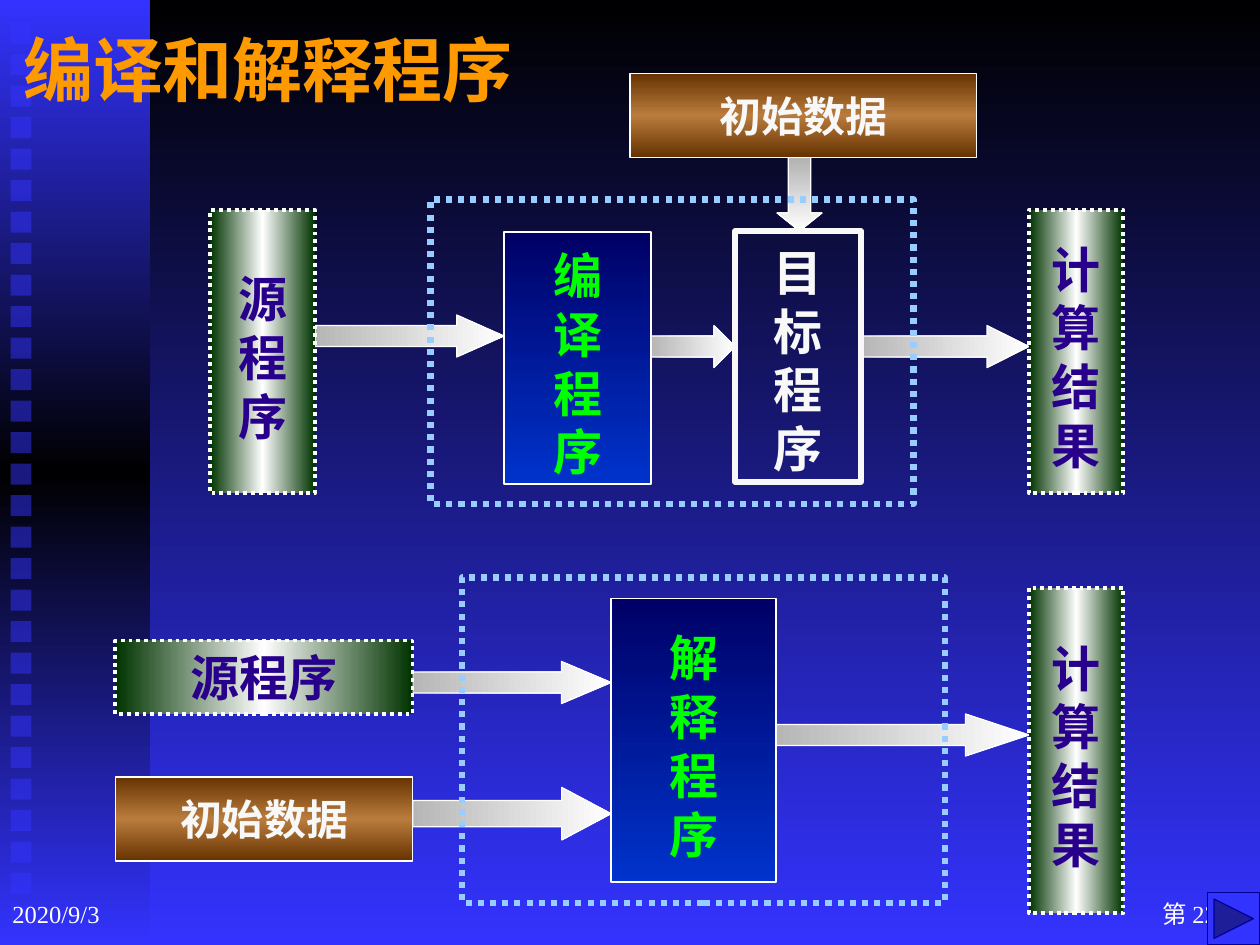
from pptx import Presentation
from pptx.dml.color import RGBColor as Color
from pptx.enum.dml import MSO_LINE as Dash
from pptx.enum.shapes import MSO_SHAPE as Shape
from pptx.enum.text import MSO_ANCHOR as Anchor, PP_ALIGN as Align
from pptx.oxml import parse_xml
from pptx.oxml.ns import nsdecls, qn
from pptx.util import Inches, Pt
from lxml.etree import SubElement

COLUMNS, ROWS = 120, 90
CELL = Inches(10) // COLUMNS
CJK, SERIF = "Noto Sans CJK SC", "Times New Roman"

# A gradient is an angle and its evenly spaced stops; a stop may carry a shade.
GREEN = (0, ["003300", "FFFFFF", "003300"])
BROWN = (90, ["663300", "BA7C3E", "663300"])
NAVY = (90, ["000066", "0033CC"])
THEME = {
    "background": (90, ["000000", "3333FF"]),
    "sidebar": (90, ["3333FF", "000000", "3333FF"]),
    "arrow": (0, [("FFFFFF", 46275), "FFFFFF"]),
    "down arrow": (90, ["B2B2B2", "FFFFFF"]),
    "accent": "3333FF", "white": "FFFFFF", "frame": "99CCFF", "button line": "000099",
    "title": dict(size=40, color="FF9900", bold=True),
    "footer": dict(size=14, color="FFFFFF", font=SERIF),
}
BOX_STYLES = {
    "endpoint": dict(fill=GREEN, line="FFFFFF", width=2.25, dotted=True,
                     text=dict(size=28, color="28008C", font=SERIF, bold=True)),
    "translator": dict(fill=NAVY, line="FFFFFF", width=0.75,
                       text=dict(size=28, color="00FF00", bold=True)),
    "target": dict(fill=None, line="F8F8F8", width=3,
                   text=dict(size=28, color="F8F8F8", bold=True, anchor=Anchor.TOP)),
    "data": dict(fill=BROWN, line="FFFFFF", width=0.75, shape=Shape.FLOWCHART_PROCESS,
                 text=dict(size=24, color="F8F8F8", font=SERIF, bold=True)),
    "frame": dict(fill=None, line=THEME["frame"], width=3.5, dotted=True),
}


def paint_gradient(fill, gradient):
    angle, colors = gradient
    stops = ""
    for index, color in enumerate(colors):
        rgb, shade = color if isinstance(color, tuple) else (color, None)
        tone = f'<a:shade val="{shade}"/>' if shade else ""
        position = 100000 * index // (len(colors) - 1)
        stops += f'<a:gs pos="{position}"><a:srgbClr val="{rgb}">{tone}</a:srgbClr></a:gs>'
    fill.gradient()
    old = fill._xPr.find(qn("a:gradFill"))
    old.getparent().replace(old, parse_xml(
        f'<a:gradFill {nsdecls("a")} rotWithShape="1"><a:gsLst>{stops}</a:gsLst>'
        f'<a:lin ang="{angle * 60000}" scaled="0"/></a:gradFill>'))


def write(box, text, size, color, font=CJK, bold=False, align=Align.CENTER,
          anchor=Anchor.MIDDLE):
    """Fill the box with one paragraph per line of text."""
    frame = box.text_frame
    frame.word_wrap = True
    frame.vertical_anchor = anchor
    lines = text.split("\n")
    drop = 0.04 if len(lines) > 1 else 0
    frame.margin_left = frame.margin_right = Inches(0.1)
    frame.margin_top, frame.margin_bottom = Inches(0.05 + drop), Inches(0.05 - drop)
    for index, line in enumerate(lines):
        para = frame.add_paragraph() if index else frame.paragraphs[0]
        para.alignment = align
        para.space_before = Pt(0)
        if len(lines) > 1:
            para.line_spacing = Pt(1.2 * size)
        span = para.add_run()
        span.text = line
        span.font.size, span.font.bold, span.font.name = Pt(size), bold, font
        span.font.color.rgb = Color.from_string(color)
        SubElement(span.font._element, qn("a:ea"), typeface=CJK)


deck = Presentation()
deck.slide_width, deck.slide_height = COLUMNS * CELL, ROWS * CELL
page = deck.slides.add_slide(deck.slide_layouts[5])
paint_gradient(page.background.fill, THEME["background"])

# Sidebar with its column of translucent squares
sidebar = page.shapes.add_shape(Shape.RECTANGLE, 0, 0, round(14.3 * CELL), ROWS * CELL)
sidebar.shadow.inherit = False
sidebar.line.fill.background()
paint_gradient(sidebar.fill, THEME["sidebar"])
for index in range(29):
    top = round((2.16 + 3 * index) * CELL)
    square = page.shapes.add_shape(Shape.RECTANGLE, CELL, top, 2 * CELL, 2 * CELL)
    square.shadow.inherit = False
    square.line.fill.background()
    square.fill.solid()
    square.fill.fore_color.rgb = Color.from_string(THEME["accent"])
    SubElement(square.fill._xPr.find(".//" + qn("a:srgbClr")), qn("a:alpha"), val="50000")

# Date, page number and title
for column, text, align in [(0, "2020/9/3", Align.LEFT), (95, "第 22 页", Align.RIGHT)]:
    footer = page.shapes.add_textbox(column * CELL, 84 * CELL, 25 * CELL, 6 * CELL)
    write(footer, text, align=align, **THEME["footer"])
title = page.shapes.title
title.left, title.top, title.width, title.height = CELL, CELL, 51 * CELL, 11 * CELL
write(title, "编译和解释程序", align=Align.LEFT, **THEME["title"])
page.shapes._spTree.append(title._element)

# Arrows: shape, gradient, column, row, columns wide, rows high, head length
arrows = [
    (Shape.RIGHT_ARROW, "arrow", 30, 30, 18, 4, 1.125),
    (Shape.RIGHT_ARROW, "arrow", 62, 31, 8, 4, 0.5),
    (Shape.RIGHT_ARROW, "arrow", 82, 31, 16, 4, 1),
    (Shape.DOWN_ARROW, "down arrow", 74, 15, 4.3, 7, 0.4),
    (Shape.RIGHT_ARROW, "arrow", 39.3, 63, 18.9, 4, 1.18),
    (Shape.RIGHT_ARROW, "arrow", 39.3, 75, 18.9, 5, 0.94),
    (Shape.RIGHT_ARROW, "arrow", 73.9, 68, 24.1, 4, 1.51),
]
for kind, gradient, *place, head in arrows:
    arrow = page.shapes.add_shape(kind, *[round(n * CELL) for n in place])
    arrow.shadow.inherit = False
    arrow.adjustments[0], arrow.adjustments[1] = 0.5, head
    paint_gradient(arrow.fill, THEME[gradient])
    arrow.line.color.rgb = Color.from_string(THEME["white"])
    arrow.line.width = Pt(0.75)

# Boxes: style, text, column, row, columns wide, rows high
boxes = [
    ("endpoint", "源\n程\n序", 20, 20, 10, 27),
    ("translator", "编\n译\n程\n序", 48, 22.1, 14, 24),
    ("target", "目\n标\n程\n序", 70, 22, 12, 23.9),
    ("data", "初始数据", 60, 7, 33, 8),
    ("endpoint", "计\n算\n结\n果", 98, 20, 9, 27),
    ("frame", "", 41, 19, 46, 29),
    ("endpoint", "源程序", 11, 61, 28.3, 7),
    ("data", "初始数据", 11, 74, 28.3, 8),
    ("translator", "解\n释\n程\n序", 58.2, 57, 15.7, 27),
    ("endpoint", "计\n算\n结\n果", 98, 56, 9, 31),
    ("frame", "", 44, 55, 46, 31),
]
for name, text, *place in boxes:
    style = BOX_STYLES[name]
    box = page.shapes.add_shape(style.get("shape", Shape.RECTANGLE),
                                *[round(n * CELL) for n in place])
    box.shadow.inherit = False
    if style["fill"]:
        paint_gradient(box.fill, style["fill"])
    else:
        box.fill.background()
    box.line.color.rgb = Color.from_string(style["line"])
    box.line.width = Pt(style["width"])
    if style.get("dotted"):
        box.line.dash_style = Dash.ROUND_DOT
    if text:
        write(box, text, **style["text"])

# Forward button in the bottom right corner
button = page.shapes.add_shape(Shape.ACTION_BUTTON_FORWARD_OR_NEXT,
                               115 * CELL, 85 * CELL, 5 * CELL, 5 * CELL)
button.shadow.inherit = False
button.fill.solid()
button.fill.fore_color.rgb = Color.from_string(THEME["accent"])
button.line.color.rgb = Color.from_string(THEME["button line"])
button.line.width = Pt(0.75)

deck.save("out.pptx")
